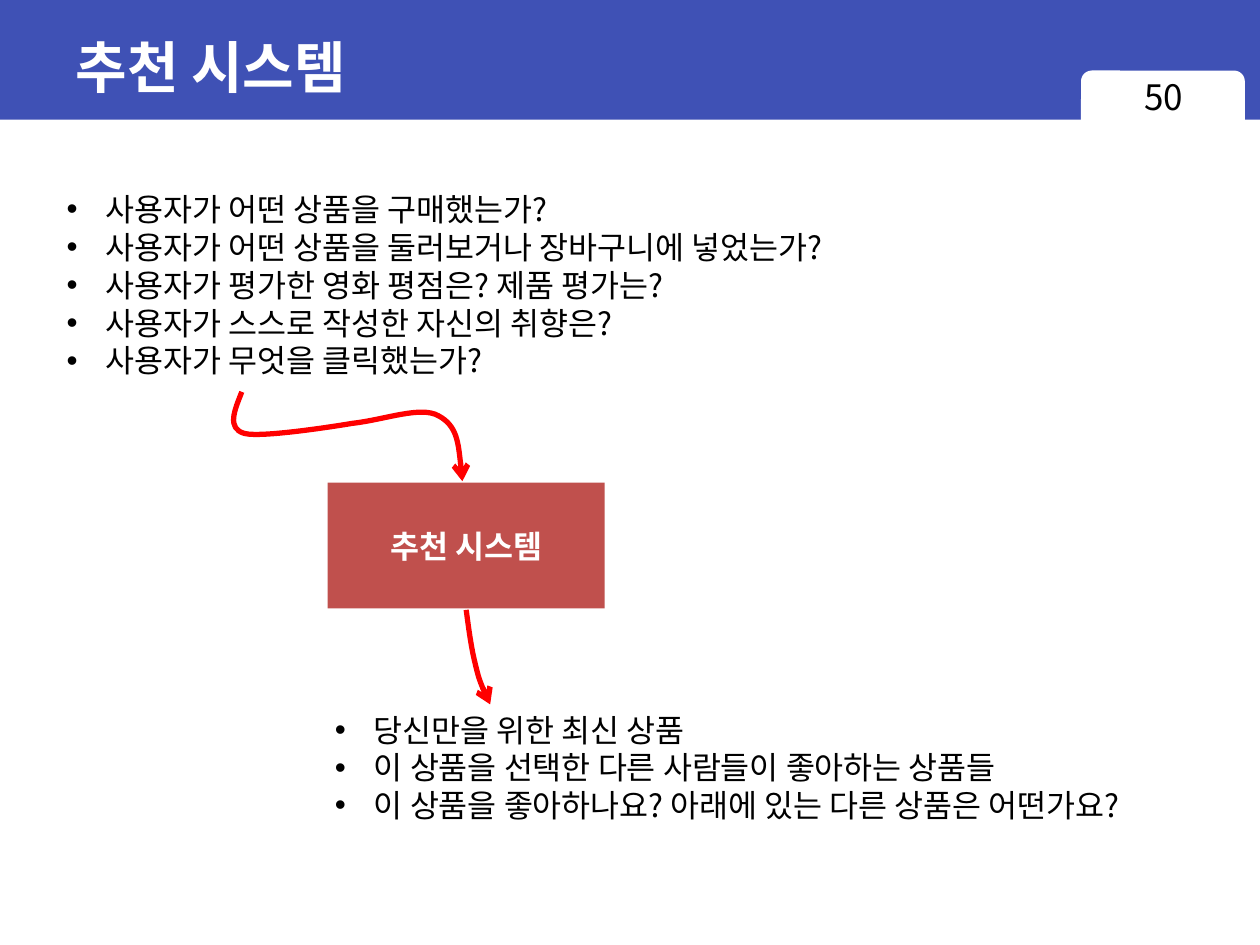
from lxml import etree
from pptx import Presentation, util as u
from pptx.dml.color import RGBColor
from pptx.enum import shapes, text
from pptx.oxml.ns import qn

TITLE = "추천 시스템"
PAGE = "50"
BODY_FONT = "Noto Sans CJK KR"
COLORS = {"band": "3F51B5", "box": "C0504D", "arrow": "FF0000",
          "light": "FFFFFF", "dark": "000000"}
LISTS = [
    ((0.43, 1.46, 6.89, 1.62), [
        "사용자가 어떤 상품을 구매했는가?",
        "사용자가 어떤 상품을 둘러보거나 장바구니에 넣었는가?",
        "사용자가 평가한 영화 평점은? 제품 평가는?",
        "사용자가 스스로 작성한 자신의 취향은?",
        "사용자가 무엇을 클릭했는가?",
    ]),
    ((2.56, 5.59, 7.18, 1.01), [
        "당신만을 위한 최신 상품",
        "이 상품을 선택한 다른 사람들이 좋아하는 상품들",
        "이 상품을 좋아하나요? 아래에 있는 다른 상품은 어떤가요?",
    ]),
]
CURVES = [
    [(1.92, 3.11), (1.86, 3.26), (1.8, 3.4), (1.94, 3.44),
     (2.09, 3.48), (2.8, 3.36), (2.8, 3.36),
     (3.06, 3.33), (3.34, 3.22), (3.48, 3.3),
     (3.63, 3.38), (3.65, 3.6), (3.67, 3.82)],
    [(3.7, 4.84), (3.72, 4.99), (3.74, 5.14), (3.77, 5.26),
     (3.8, 5.39), (3.84, 5.49), (3.89, 5.59)],
]


def color(name):
    return RGBColor.from_string(COLORS[name])


def inches(values):
    return [u.Inches(value) for value in values]


def add_run(paragraph, words, size, tone, font=BODY_FONT, bold=False):
    run = paragraph.add_run()
    run.text = words
    run.font.size = u.Pt(size)
    run.font.name = font
    run.font.bold = bold
    run.font.color.rgb = color(tone)
    if font == BODY_FONT:
        east_asian = etree.SubElement(run.font._element, qn("a:ea"))
        east_asian.set("typeface", font)


def add_panel(slide, kind, place, tone):
    panel = slide.shapes.add_shape(kind, *inches(place))
    panel.shadow.inherit = False
    panel.fill.solid()
    panel.fill.fore_color.rgb = color(tone)
    panel.line.fill.background()
    return panel


def add_bullets(slide, place, items):
    frame = slide.shapes.add_textbox(*inches(place)).text_frame
    frame.word_wrap = False
    frame.auto_size = text.MSO_AUTO_SIZE.SHAPE_TO_FIT_TEXT
    for index, item in enumerate(items):
        paragraph = frame.add_paragraph() if index else frame.paragraphs[0]
        properties = paragraph._p.get_or_add_pPr()
        indent = u.Inches(0.31)
        properties.set("marL", str(indent))
        properties.set("indent", str(-indent))
        etree.SubElement(properties, qn("a:buFont")).set("typeface", "Arial")
        etree.SubElement(properties, qn("a:buChar")).set("char", "•")
        add_run(paragraph, item, 18, "dark")


def add_curve(slide, points):
    start, *rest = [inches(point) for point in points]
    builder = slide.shapes.build_freeform(*start)
    builder.add_line_segments(rest, close=False)
    curve = builder.convert_to_shape()
    outline = curve.element.find(".//" + qn("a:path"))
    segments = outline.findall(qn("a:lnTo"))
    for first in range(0, len(segments), 3):
        bezier = etree.SubElement(outline, qn("a:cubicBezTo"))
        for segment in segments[first:first + 3]:
            bezier.append(segment[0])
            outline.remove(segment)
    curve.shadow.inherit = False
    curve.fill.background()
    curve.line.color.rgb = color("arrow")
    curve.line.width = u.Pt(3)
    stroke = curve.element.spPr.find(qn("a:ln"))
    etree.SubElement(stroke, qn("a:tailEnd")).set("type", "arrow")


def main():
    """Build the recommendation system slide."""
    deck = Presentation()
    deck.slide_width, deck.slide_height = inches((10, 7.5))
    slide = deck.slides.add_slide(deck.slide_layouts[5])

    add_panel(slide, shapes.MSO_SHAPE.RECTANGLE, (0, 0, 10, 0.95), "band")
    add_panel(slide, shapes.MSO_SHAPE.ROUNDED_RECTANGLE,
              (8.58, 0.56, 1.3, 0.51), "light")

    title = slide.shapes.title
    title.element.getparent().append(title.element)
    title.left, title.top, title.width, title.height = inches((0.5, 0.11, 9, 0.83))
    title.text_frame.vertical_anchor = text.MSO_ANCHOR.MIDDLE
    heading = title.text_frame.paragraphs[0]
    heading.alignment = text.PP_ALIGN.LEFT
    add_run(heading, TITLE, 32, "light", "Arial", True)

    page = slide.shapes.add_textbox(*inches((8.58, 0.55, 1.31, 0.52)))
    page.text_frame.word_wrap = True
    number = page.text_frame.paragraphs[0]
    number.alignment = text.PP_ALIGN.CENTER
    add_run(number, PAGE, 20, "dark")

    for place, items in LISTS:
        add_bullets(slide, place, items)

    system = add_panel(slide, shapes.MSO_SHAPE.RECTANGLE, (2.6, 3.83, 2.2, 1), "box")
    system.text_frame.vertical_anchor = text.MSO_ANCHOR.MIDDLE
    label = system.text_frame.paragraphs[0]
    label.alignment = text.PP_ALIGN.CENTER
    add_run(label, TITLE, 18, "light", bold=True)

    for points in CURVES:
        add_curve(slide, points)
    deck.save("out.pptx")


if __name__ == "__main__":
    main()
